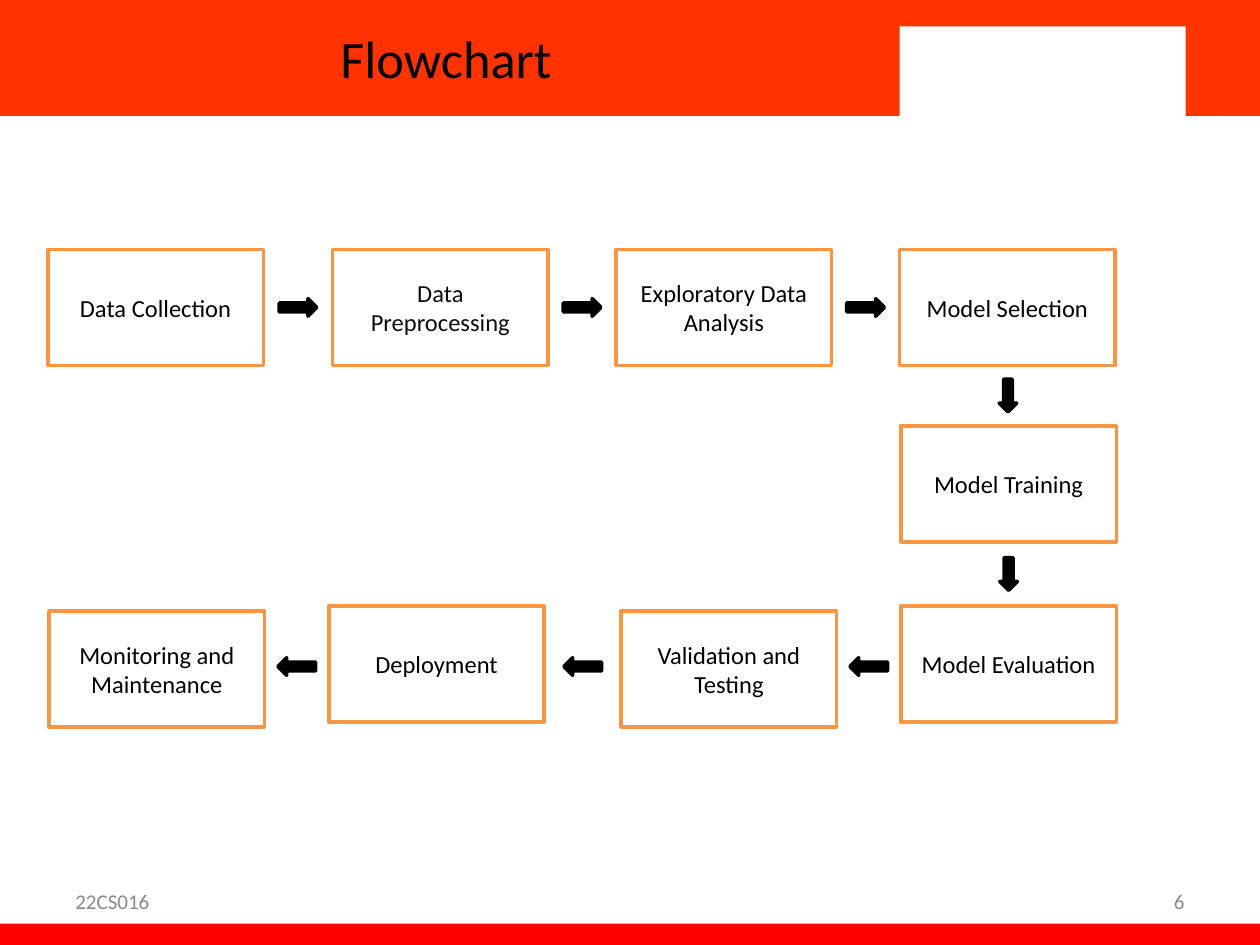
from pptx import Presentation
from pptx.dml.color import RGBColor
from pptx.enum.shapes import MSO_SHAPE
from pptx.enum.text import MSO_ANCHOR, PP_ALIGN
from pptx.util import Inches, Pt

THEME = {
    "font": "Calibri",
    "title": 30, "step": 14, "foot": 12, "line": 2,
    "band": "FF3300", "base": "FF0000", "paper": "FFFFFF",
    "edge": "F79646", "ink": "000000", "soft": "0D0D0D", "grey": "898989",
}

TITLE = "Flowchart"
BANDS = [  # left, top, width, height, colour
    (0, 0, 10, 0.92, "band"),
    (0, 7.33, 10, 0.22, "base"),
    (7.14, 0.21, 2.27, 0.75, "paper"),
]
FEET = [("22CS016", 0.5, PP_ALIGN.LEFT), ("6", 7.17, PP_ALIGN.RIGHT)]
STEPS = [  # text, left, top, colour, in order of flow
    ("Data Collection", 0.38, 1.98, "ink"),
    ("Data Preprocessing", 2.64, 1.98, "soft"),
    ("Exploratory Data Analysis", 4.89, 1.98, "ink"),
    ("Model Selection", 7.14, 1.98, "ink"),
    ("Model Training", 7.15, 3.38, "ink"),
    ("Model Evaluation", 7.15, 4.81, "ink"),
    ("Validation and Testing", 4.93, 4.85, "ink"),
    ("Deployment", 2.61, 4.81, "ink"),
    ("Monitoring and Maintenance", 0.39, 4.85, "ink"),
]
BOX_W, BOX_H = 1.71, 0.92
ARROW_W = 0.14
ARROW_LONG, ARROW_SHORT = 0.3, 0.26


def paint(name):
    return RGBColor.from_string(THEME[name])


def write(shape, text, size, color, align):
    frame = shape.text_frame
    frame.text = text
    frame.word_wrap = True
    frame.vertical_anchor = MSO_ANCHOR.MIDDLE
    par = frame.paragraphs[0]
    par.alignment = align
    font = par.runs[0].font
    font.name = THEME["font"]
    font.size = Pt(THEME[size])
    font.color.rgb = paint(color)


def draw(slide, kind, box, fill, line=None):
    shape = slide.shapes.add_shape(kind, *map(Inches, box))
    shape.shadow.inherit = False
    shape.fill.solid()
    shape.fill.fore_color.rgb = paint(fill)
    if line:
        shape.line.color.rgb = paint(line)
        shape.line.width = Pt(THEME["line"])
    else:
        shape.line.fill.background()
    return shape


def link(slide, start, end):
    """Put a block arrow halfway between two steps, turned along the flow."""
    dx, dy = end[1] - start[1], end[2] - start[2]
    flat = abs(dx) > abs(dy)
    size = ARROW_LONG if flat else ARROW_SHORT
    left = (start[1] + end[1] + BOX_W - ARROW_W) / 2
    top = (start[2] + end[2] + BOX_H - size) / 2
    arrow = draw(slide, MSO_SHAPE.DOWN_ARROW, (left, top, ARROW_W, size),
                 "ink", "ink")
    if flat:
        arrow.rotation = 270 if dx > 0 else 90


def main():
    deck = Presentation()
    deck.slide_width, deck.slide_height = Inches(10), Inches(7.5)
    slide = deck.slides.add_slide(deck.slide_layouts[5])

    for *box, color in BANDS:
        draw(slide, MSO_SHAPE.RECTANGLE, box, color)

    for text, left, align in FEET:
        foot = slide.shapes.add_textbox(
            Inches(left), Inches(6.95), Inches(2.33), Inches(0.4))
        write(foot, text, "foot", "grey", align)

    for text, left, top, color in STEPS:
        step = draw(slide, MSO_SHAPE.RECTANGLE, (left, top, BOX_W, BOX_H),
                    "paper", "edge")
        write(step, text, "step", color, PP_ALIGN.CENTER)
    for start, end in zip(STEPS, STEPS[1:]):
        link(slide, start, end)

    title = slide.shapes.title
    title.left, title.top = Inches(0), Inches(0)
    title.width, title.height = Inches(7.08), Inches(0.92)
    write(title, TITLE, "title", "ink", PP_ALIGN.CENTER)
    title.element.getparent().append(title.element)  # in front of the band

    deck.save("out.pptx")


if __name__ == "__main__":
    main()
